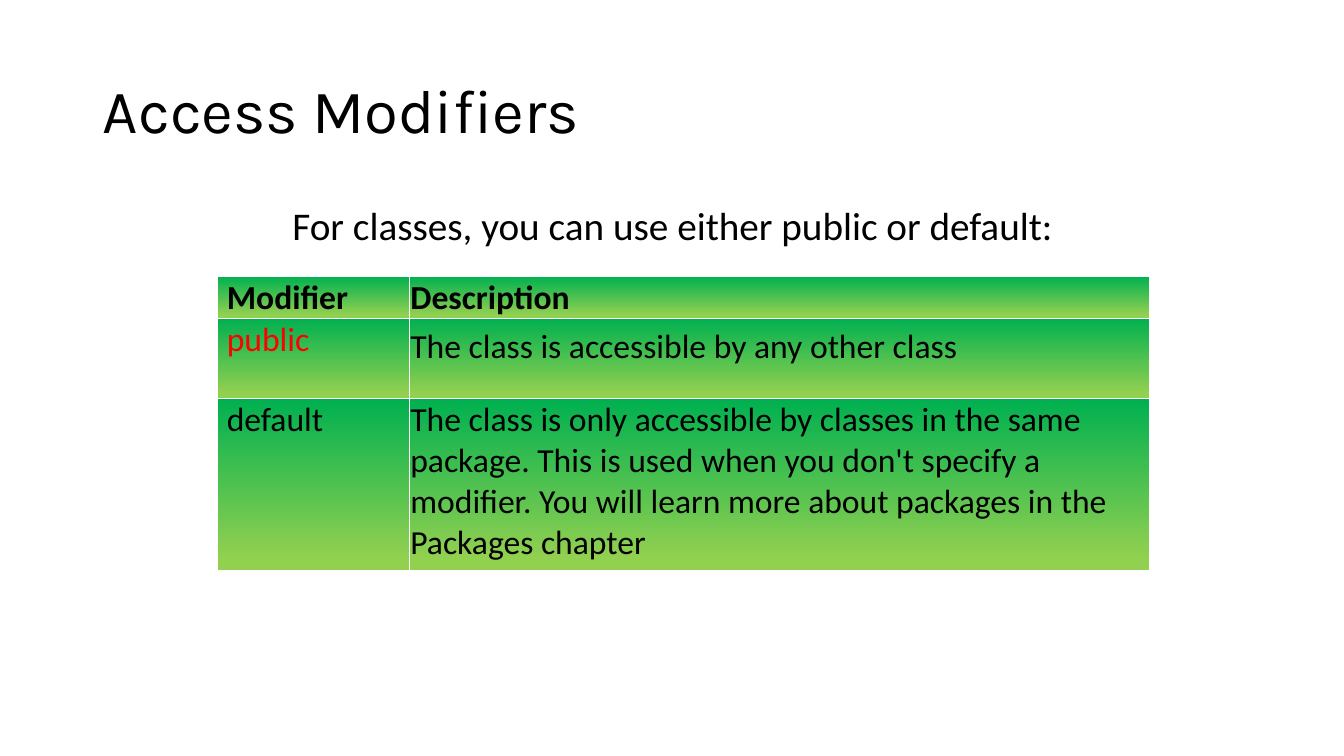
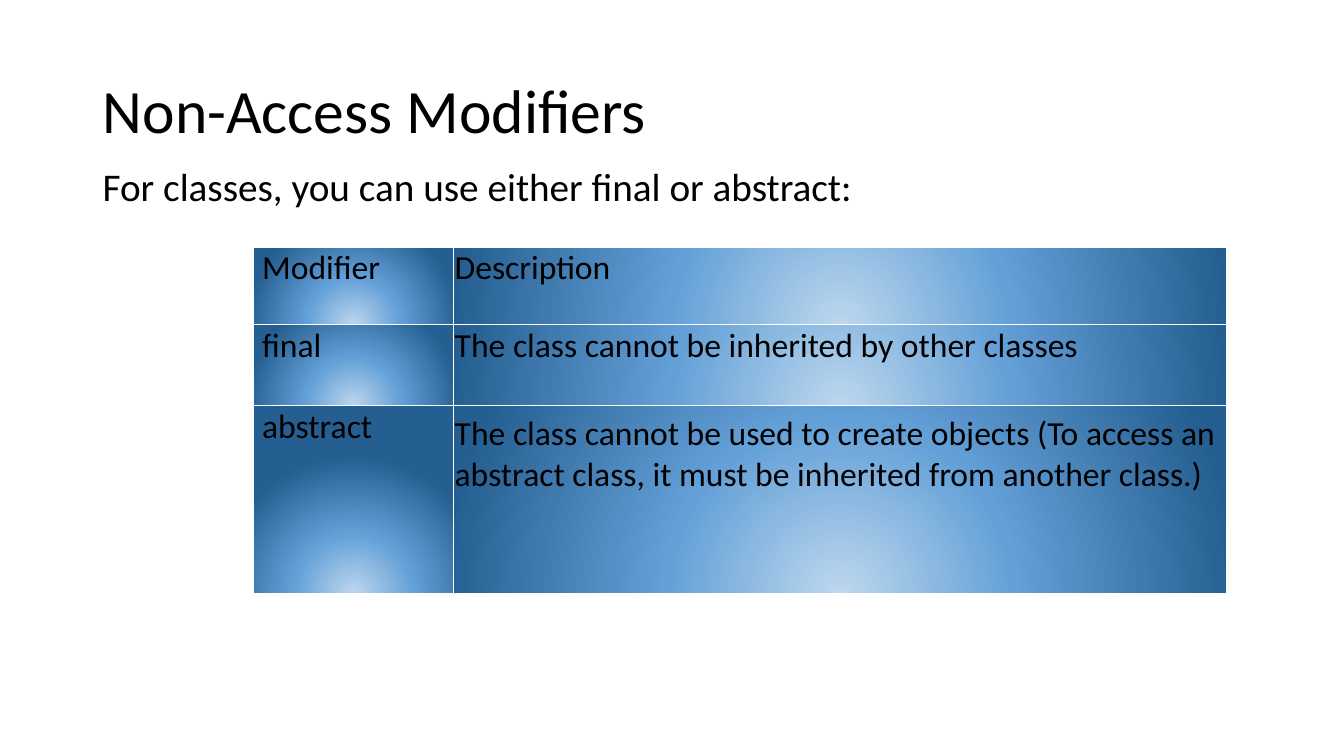
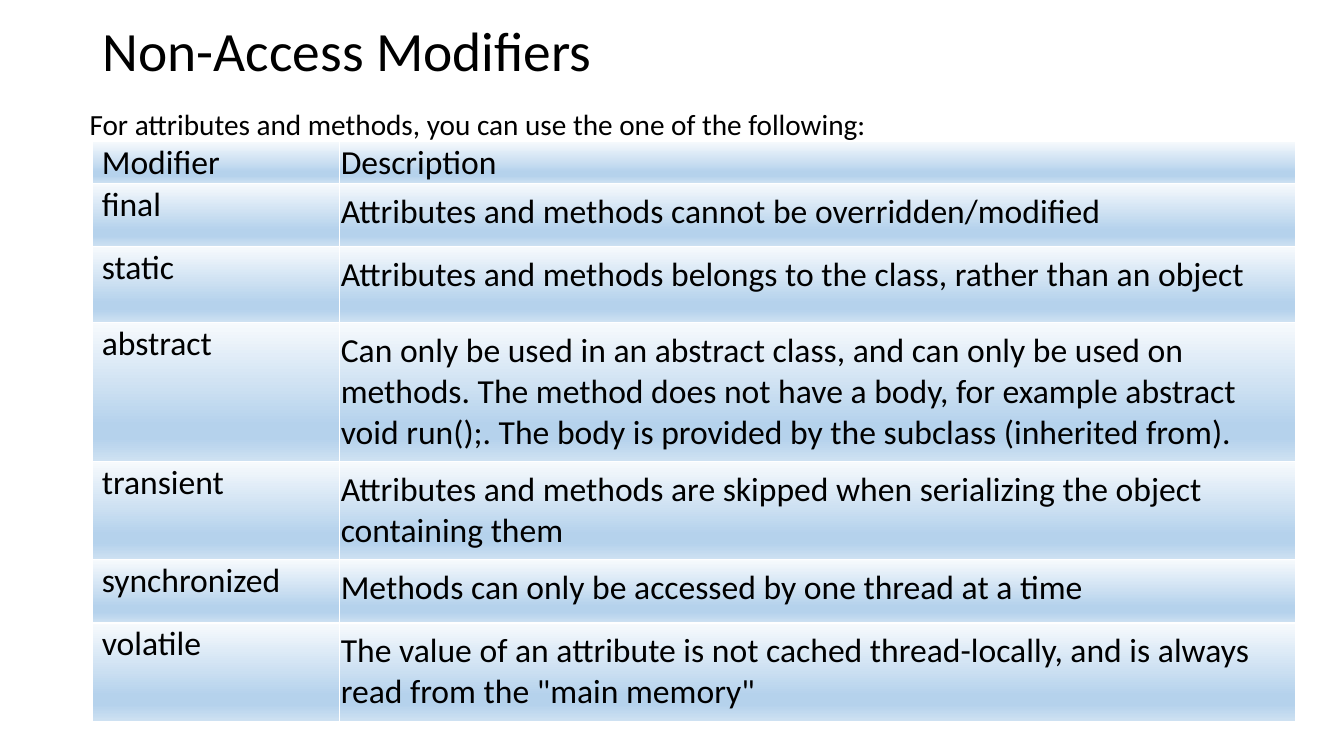
"""Build three slides on class, attribute and method modifiers."""
from dataclasses import dataclass

from pptx import Presentation
from pptx import util as u
from pptx.dml.color import RGBColor
from pptx.enum import text
from pptx.oxml import parse_xml
from pptx.oxml.ns import nsdecls


@dataclass(frozen=True)
class Theme:
    """Shared fonts, sizes, colours and gradient fills."""
    font: str = "Calibri"
    accent_font: str = "Karla"
    ink: str = "000000"
    red: str = "FF0000"
    border: str = "FFFFFF"
    title: float = 44
    small_title: float = 39.6
    lead: float = 28
    small_lead: float = 20.9
    cell: float = 24
    leading: float = 0.9
    green: tuple = ((0, "92D050"), (7, "92D050"), (100, "00B050"))
    blue: tuple = ((0, "BDD7EE"), (44, "63A0D7"), (100, "255E91"))
    pale: tuple = ((0, "F7FAFD"), (74, "B5D2EC"), (83, "B5D2EC"), (100, "CEE1F2"))


T = Theme()
UPWARD = '<a:lin ang="16200000" scaled="0"/>'
DOWNWARD = '<a:lin ang="5400000" scaled="0"/>'
GLOW = ('<a:path path="circle">'
        '<a:fillToRect l="50000" t="130000" r="50000" b="-30000"/></a:path>')
TIGHT = (0.01, 0.01, 0.01, 0)
PADDED = (0.01, 0.08, 0.01, 0.08)
LABEL = (0.09, 0.01, 0.01, 0)


def style(p, size, font=T.font, color=T.ink, bold=False):
    """Set the font of a whole paragraph."""
    f = p.font
    f.name, f.size, f.bold = font, u.Pt(size), bold
    f.color.rgb = RGBColor.from_string(color)


def write(sp, words, size, font=T.font, align=text.PP_ALIGN.LEFT,
          anchor=text.MSO_ANCHOR.TOP):
    """Put one wrapped paragraph into a shape."""
    tf = sp.text_frame
    tf.word_wrap = True
    tf.auto_size = text.MSO_AUTO_SIZE.NONE
    tf.vertical_anchor = anchor
    p = tf.paragraphs[0]
    p.text, p.alignment, p.line_spacing = words, align, T.leading
    style(p, size, font)


def add_slide(prs, title, top=0.4, height=1.45, size=T.title, font=T.font):
    """Add a title-only slide and format its title."""
    s = prs.slides.add_slide(prs.slide_layouts[5])
    sp = s.shapes.title
    sp.left, sp.top, sp.width, sp.height = map(u.Inches, (0.92, top, 11.5, height))
    write(sp, title, size, font, anchor=text.MSO_ANCHOR.MIDDLE)
    return s


def add_lead(s, words, left, top, size=T.lead, align=text.PP_ALIGN.LEFT):
    """Add the sentence that introduces the table."""
    sp = s.shapes.add_textbox(*map(u.Inches, (left, top, 11.5, 0.7)))
    write(sp, words, size, align=align)


def paint_cell(cell, stops, direction):
    """Give a cell thin borders and a gradient fill."""
    tcPr = cell._tc.get_or_add_tcPr()
    for side in "LRTB":
        tcPr.append(parse_xml(
            f'<a:ln{side} {nsdecls("a")} w="12700"><a:solidFill>'
            f'<a:srgbClr val="{T.border}"/></a:solidFill></a:ln{side}>'))
    marks = "".join(f'<a:gs pos="{pos * 1000}"><a:srgbClr val="{color}"/></a:gs>'
                    for pos, color in stops)
    tcPr.append(parse_xml(f'<a:gradFill {nsdecls("a")} rotWithShape="1">'
                          f'<a:gsLst>{marks}</a:gsLst>{direction}</a:gradFill>'))


def fill_cell(cell, words, insets, color=T.ink, bold=False):
    """Write a cell's text with its margins."""
    (cell.margin_left, cell.margin_top,
     cell.margin_right, cell.margin_bottom) = map(u.Inches, insets)
    p = cell.text_frame.paragraphs[0]
    p.text = words
    style(p, T.cell, color=color, bold=bold)


def add_modifier_table(s, left, top, cols, heights, rows, stops, direction,
                       padded, bold_header=False, red_label=None):
    """Add a table of modifiers and their descriptions."""
    rows = [("Modifier", "Description"), *rows]
    box = map(u.Inches, (left, top, sum(cols), sum(heights)))
    table = s.shapes.add_table(len(rows), len(cols), *box).table
    table.first_row = table.horz_banding = False
    for column, width in zip(table.columns, cols):
        column.width = u.Inches(width)
    for i, (row, height, (label, description)) in enumerate(
            zip(table.rows, heights, rows)):
        row.height = u.Inches(height)
        bold = bold_header and i == 0
        fill_cell(row.cells[0], label, LABEL,
                  T.red if label == red_label else T.ink, bold)
        fill_cell(row.cells[1], description,
                  PADDED if i in padded else TIGHT, bold=bold)
        for cell in row.cells:
            paint_cell(cell, stops, direction)


def access_slide(prs):
    """Build the slide on access modifiers for classes."""
    s = add_slide(prs, "Access Modifiers", font=T.accent_font)
    add_lead(s, "For classes, you can use either public or default:",
             0.92, 2, align=text.PP_ALIGN.CENTER)
    rows = [
        ("public", "The class is accessible by any other class"),
        ("default", "The class is only accessible by classes in the same package. "
                    "This is used when you don't specify a modifier. You will learn "
                    "more about packages in the Packages chapter"),
    ]
    add_modifier_table(s, 2.16, 2.74, (1.9, 7.34), (0.39, 0.8, 1.7), rows,
                       T.green, UPWARD, padded={1}, bold_header=True,
                       red_label="public")


def class_slide(prs):
    """Build the slide on non-access modifiers for classes."""
    s = add_slide(prs, "Non-Access Modifiers")
    add_lead(s, "For classes, you can use either final or abstract:", 0.92, 1.61)
    rows = [
        ("final", "The class cannot be inherited by other classes"),
        ("abstract", "The class cannot be used to create objects (To access an "
                     "abstract class, it must be inherited from another class.)"),
    ]
    add_modifier_table(s, 2.51, 2.45, (1.99, 7.67), (0.77, 0.8, 1.87), rows,
                       T.blue, GLOW, padded={2})


def member_slide(prs):
    """Build the slide on non-access modifiers for attributes and methods."""
    s = add_slide(prs, "Non-Access Modifiers", 0.18, 0.7, T.small_title)
    add_lead(s, "For attributes and methods, you can use the one of the following:",
             0.79, 1.04, T.small_lead)
    rows = [
        ("final", "Attributes and methods cannot be overridden/modified"),
        ("static", "Attributes and methods belongs to the class, rather than an object"),
        ("abstract", "Can only be used in an abstract class, and can only be used on "
                     "methods. The method does not have a body, for example abstract "
                     "void run();. The body is provided by the subclass (inherited from)."),
        ("transient", "Attributes and methods are skipped when serializing the object "
                      "containing them"),
        ("synchronized", "Methods can only be accessed by one thread at a time"),
        ("volatile", "The value of an attribute is not cached thread-locally, and is "
                     'always read from the "main memory"'),
    ]
    add_modifier_table(s, 0.92, 1.4, (2.45, 9.48),
                       (0.32, 0.63, 0.75, 1.38, 0.75, 0.63, 0.75), rows,
                       T.pale, DOWNWARD, padded=range(1, 7))


def main():
    """Build and save the presentation."""
    prs = Presentation()
    prs.slide_width, prs.slide_height = u.Inches(13.33), u.Inches(7.5)
    access_slide(prs)
    class_slide(prs)
    member_slide(prs)
    prs.save("out.pptx")


if __name__ == "__main__":
    main()
